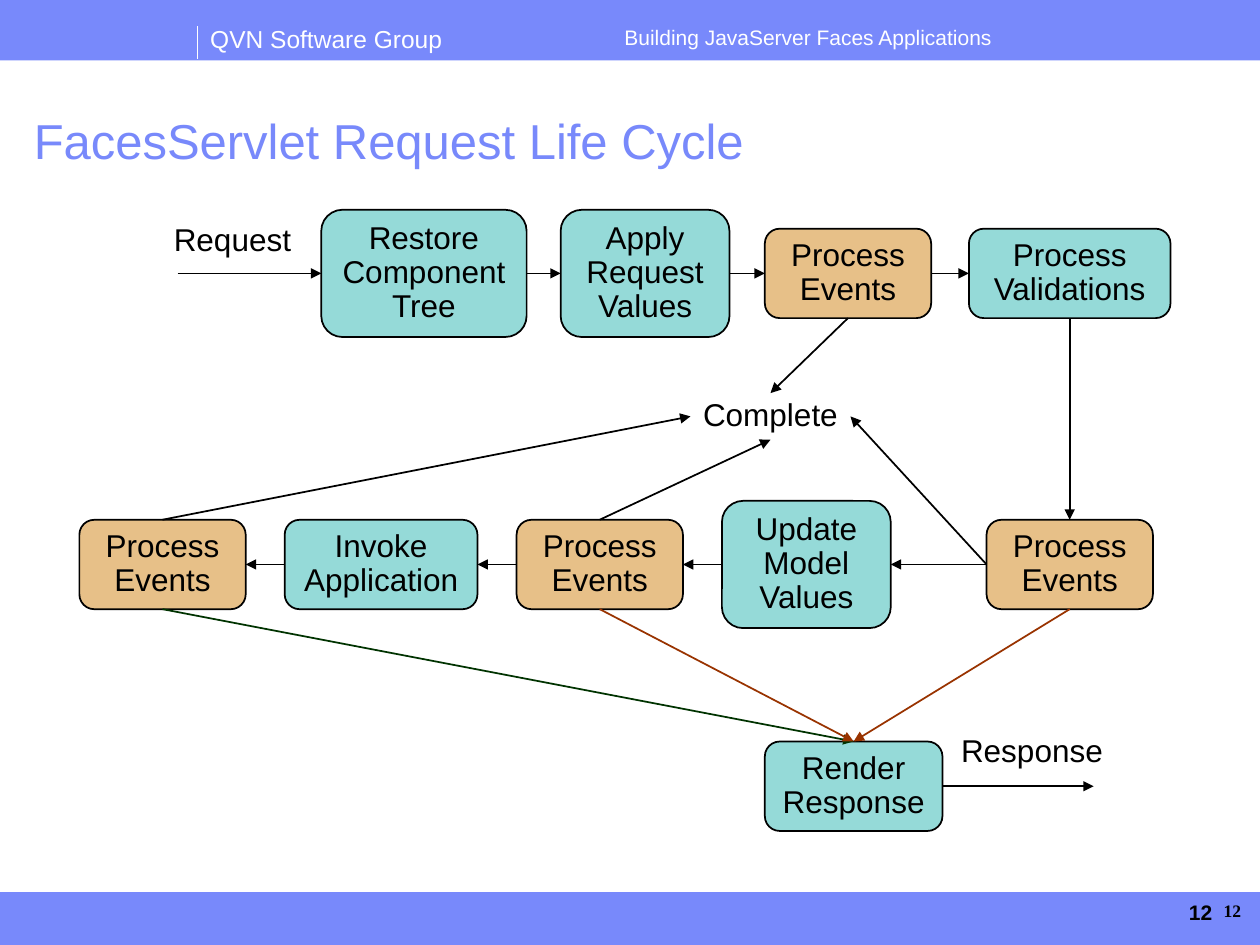
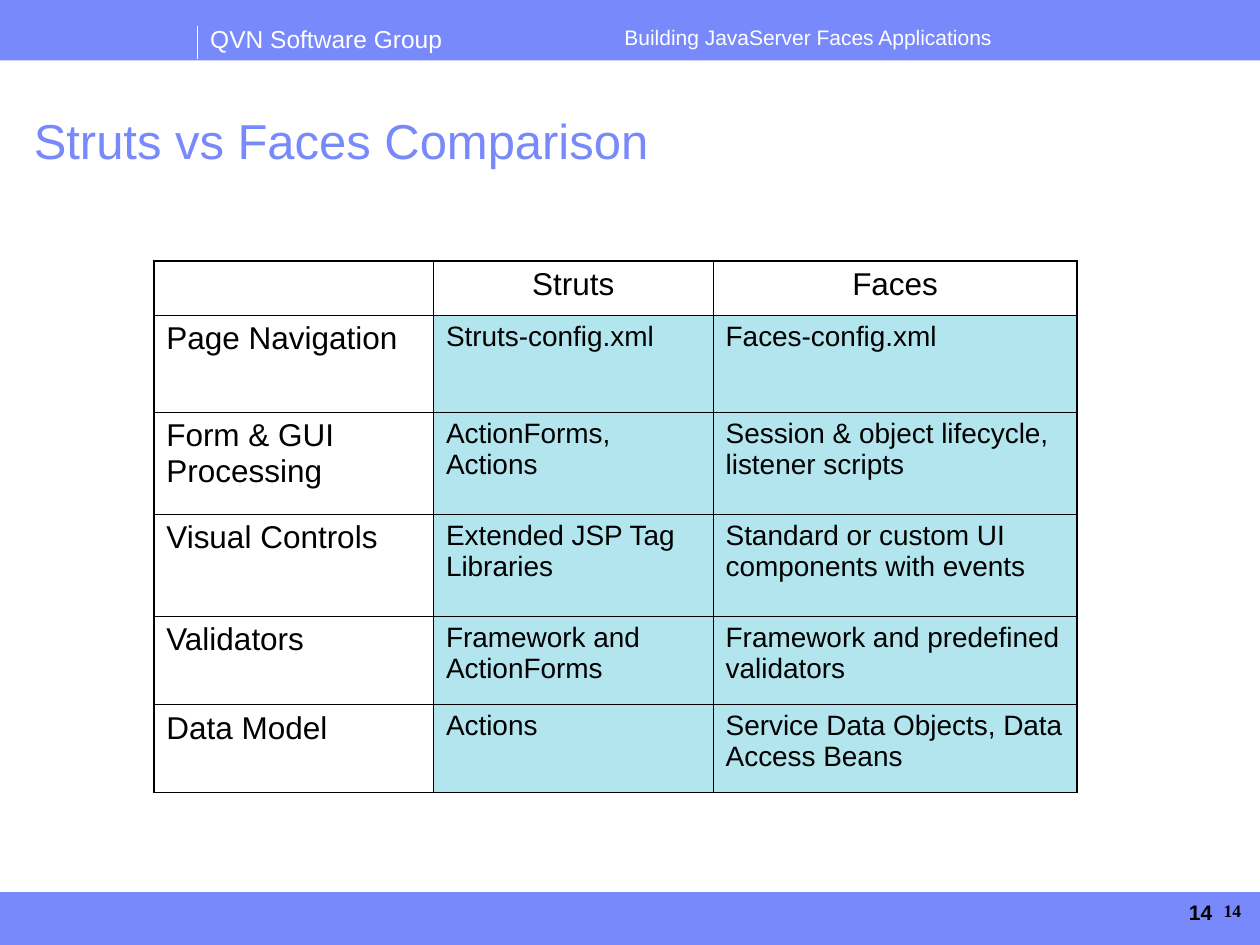
from lxml.etree import SubElement
from pptx import Presentation
from pptx.dml.color import RGBColor
from pptx.enum.shapes import MSO_CONNECTOR, MSO_SHAPE
from pptx.enum.text import MSO_ANCHOR, PP_ALIGN
from pptx.oxml.ns import qn
from pptx.util import Inches, Pt

BLUE, WHITE, BLACK = "7889FB", "FFFFFF", "000000"
TEAL, ORANGE, CYAN = "2DB6B3", "D18213", "66CCDC"
GREEN, BROWN = "003300", "993300"
LEFT, CENTER, RIGHT = PP_ALIGN.LEFT, PP_ALIGN.CENTER, PP_ALIGN.RIGHT
TOP_SIDE, LEFT_SIDE, BOTTOM_SIDE, RIGHT_SIDE = range(4)

GROUP = "QVN Software Group"
COURSE = "Building JavaServer Faces Applications"

ROW_1, ROW_2, ROW_3 = 2.17, 4.48, 6.24
TALL, SHORT = 1.01, 0.71
STEPS = {
    "restore": ("Restore Component Tree", TEAL, 2.55, ROW_1, 1.63, TALL),
    "apply": ("Apply Request Values", TEAL, 4.45, ROW_1, 1.34, TALL),
    "events 1": ("Process Events", ORANGE, 6.07, ROW_1, 1.32, SHORT),
    "validate": ("Process Validations", TEAL, 7.69, ROW_1, 1.6, SHORT),
    "events 2": ("Process Events", ORANGE, 7.83, ROW_2, 1.32, SHORT),
    "update": ("Update Model Values", TEAL, 5.73, ROW_2, 1.34, TALL),
    "events 3": ("Process Events", ORANGE, 4.1, ROW_2, 1.32, SHORT),
    "invoke": ("Invoke Application", TEAL, 2.26, ROW_2, 1.53, SHORT),
    "events 4": ("Process Events", ORANGE, 0.63, ROW_2, 1.32, SHORT),
    "render": ("Render Response", TEAL, 6.07, ROW_3, 1.41, SHORT),
}
LABELS = {
    "request": ("Request", 1.28, 1.73, 1.13),
    "response": ("Response", 7.53, 5.79, 1.32),
    "complete": ("Complete", 5.48, 3.12, 1.27),
}
FLOWS = [
    ("restore", "apply", "events 1", "validate"),
    ("events 2", "update", "events 3", "invoke", "events 4"),
]
ARROWS = [
    ((1.41, ROW_1), ("restore", LEFT_SIDE), BLACK),
    (("validate", BOTTOM_SIDE), ("events 2", TOP_SIDE), BLACK),
    (("events 1", BOTTOM_SIDE), ("complete", TOP_SIDE), BLACK),
    (("events 2", LEFT_SIDE), ("complete", RIGHT_SIDE), BLACK),
    (("events 3", TOP_SIDE), ("complete", BOTTOM_SIDE), BLACK),
    (("events 4", TOP_SIDE), ("complete", LEFT_SIDE), BLACK),
    (("events 4", BOTTOM_SIDE), ("render", TOP_SIDE), GREEN),
    (("events 2", BOTTOM_SIDE), ("render", TOP_SIDE), BROWN),
    (("events 3", BOTTOM_SIDE), ("render", TOP_SIDE), BROWN),
    (("render", RIGHT_SIDE), (8.68, ROW_3), BLACK),
]

COMPARISON = [
    ("", "Struts", "Faces"),
    ("Page Navigation", "Struts-config.xml", "Faces-config.xml"),
    ("Form & GUI Processing", "ActionForms, Actions",
     "Session & object lifecycle, listener scripts"),
    ("Visual Controls", "Extended JSP Tag Libraries",
     "Standard or custom UI components with events"),
    ("Validators", "Framework and ActionForms",
     "Framework and predefined validators"),
    ("Data Model", "Actions", "Service Data Objects, Data Access Beans"),
]
COL_WIDTHS = (2.22, 2.22, 2.89)
ROW_HEIGHTS = (0.43, 0.77, 0.81, 0.81, 0.7, 0.7)
THIN, THICK = 0.45, 1.08


def rgb(color):
    return RGBColor.from_string(color)


def paint(fill, color, owner=None):
    fill.solid()
    fill.fore_color.rgb = rgb(color)
    if owner is not None:
        clr = owner.find(qn("a:solidFill")).find(qn("a:srgbClr"))
        SubElement(clr, qn("a:alpha"), val="50000")


def style(p, size, color=BLACK, align=LEFT, bold=False, font="Arial", spacing=None):
    p.alignment = align
    p.line_spacing = spacing
    p.font.size, p.font.name, p.font.bold = Pt(size), font, bold
    p.font.color.rgb = rgb(color)


def add_text(s, text, x, y, w, h, size, margins=(0.1, 0.05), **look):
    sp = s.shapes.add_textbox(Inches(x), Inches(y), Inches(w), Inches(h))
    tf = sp.text_frame
    tf.word_wrap = True
    tf.margin_left = tf.margin_right = Inches(margins[0])
    tf.margin_top = tf.margin_bottom = Inches(margins[1])
    p = tf.paragraphs[0]
    p.text = text
    style(p, size, **look)
    return sp


def add_box(s, kind, x, y, w, h):
    sp = s.shapes.add_shape(kind, Inches(x), Inches(y), Inches(w), Inches(h))
    sp.shadow.inherit = False
    return sp


def add_line(s, start, end, color, width):
    line = s.shapes.add_connector(MSO_CONNECTOR.STRAIGHT,
                                  *(Inches(v) for v in (*start, *end)))
    line.line.color.rgb = rgb(color)
    line.line.width = Pt(width)
    SubElement(line._element.spPr, qn("a:effectLst"))
    return line


def add_slide(prs, title, number):
    s = prs.slides.add_slide(prs.slide_layouts[6])
    for y, h in ((7.08, 0.42), (0, 0.48)):
        band = add_box(s, MSO_SHAPE.RECTANGLE, 0, y, 10, h)
        paint(band.fill, BLUE)
        band.line.fill.background()
    add_text(s, GROUP, 1.57, 0.14, 2.2, 0.34, 14, color=WHITE)
    add_line(s, (1.57, 0.21), (1.57, 0.47), WHITE, 0.75)
    add_text(s, COURSE, 3.83, 0.17, 5.17, 0.28, 12, color=WHITE, align=CENTER, spacing=0.9)
    add_text(s, number, 9.31, 7.09, 0.41, 0.3, 12, align=RIGHT, bold=True)
    add_text(s, number, 9.11, 7.14, 0.74, 0.17, 10, margins=(0, 0), align=RIGHT,
             bold=True, font="Times New Roman")
    add_text(s, title, 0.17, 0.88, 9.26, 0.52, 28, color=BLUE, spacing=0.9)
    return s


def add_step(s, text, color, x, middle, w, h):
    sp = add_box(s, MSO_SHAPE.FLOWCHART_ALTERNATE_PROCESS, x, middle - h / 2, w, h)
    paint(sp.fill, color, sp._element.spPr)
    sp.line.color.rgb = rgb(BLACK)
    sp.line.width = Pt(1)
    tf = sp.text_frame
    tf.word_wrap = True
    tf.vertical_anchor = MSO_ANCHOR.MIDDLE
    p = tf.paragraphs[0]
    p.text = text
    style(p, 18, align=CENTER, spacing=0.9)
    return sp


def add_arrow(s, nodes, start, end, color):
    points = [(0, 0) if end_point[0] in nodes else end_point for end_point in (start, end)]
    line = add_line(s, *points, color, 1)
    if start[0] in nodes:
        line.begin_connect(nodes[start[0]], start[1])
    if end[0] in nodes:
        line.end_connect(nodes[end[0]], end[1])
    SubElement(line.line._get_or_add_ln(), qn("a:tailEnd"), type="triangle")


def add_life_cycle(s):
    nodes = {name: add_step(s, *step) for name, step in STEPS.items()}
    for name, (text, x, y, w) in LABELS.items():
        nodes[name] = add_text(s, text, x, y, w, 0.37, 18, margins=(0, 0.05),
                               align=CENTER, spacing=0.9)
    for flow, sides in zip(FLOWS, ((RIGHT_SIDE, LEFT_SIDE), (LEFT_SIDE, RIGHT_SIDE))):
        for a, b in zip(flow, flow[1:]):
            add_arrow(s, nodes, (a, sides[0]), (b, sides[1]), BLACK)
    for arrow in ARROWS:
        add_arrow(s, nodes, *arrow)


def add_borders(tcPr, outer):
    for side in "LRTB":
        width = THICK if side in outer else THIN
        ln = SubElement(tcPr, qn(f"a:ln{side}"), w=str(Pt(width)))
        SubElement(SubElement(ln, qn("a:solidFill")), qn("a:srgbClr"), val=BLACK)


def add_comparison(s):
    last_row, last_col = len(ROW_HEIGHTS) - 1, len(COL_WIDTHS) - 1
    table = s.shapes.add_table(last_row + 1, last_col + 1, Inches(1.22), Inches(2.07),
                               Inches(sum(COL_WIDTHS)), Inches(sum(ROW_HEIGHTS))).table
    table.first_row = table.horz_banding = False
    for col, w in zip(table.columns, COL_WIDTHS):
        col.width = Inches(w)
    for row, h in zip(table.rows, ROW_HEIGHTS):
        row.height = Inches(h)
    for i, texts in enumerate(COMPARISON):
        for j, text in enumerate(texts):
            cell = table.cell(i, j)
            tcPr = cell._tc.get_or_add_tcPr()
            edges = {"L": j == 0, "R": j == last_col, "T": i == 0, "B": i == last_row}
            add_borders(tcPr, [side for side, outer in edges.items() if outer])
            body = i > 0 and j > 0
            if body:
                paint(cell.fill, CYAN, tcPr)
            else:
                cell.fill.background()
            p = cell.text_frame.paragraphs[0]
            p.text = text
            style(p, 16 if body else 18, align=CENTER if i == 0 else LEFT)
            p.space_before, p.space_after = (Pt(5), Pt(3)) if body else (Pt(5.6), Pt(3.4))


def main():
    prs = Presentation()
    prs.slide_width, prs.slide_height = Inches(10), Inches(7.5)
    add_life_cycle(add_slide(prs, "FacesServlet Request Life Cycle", "12"))
    add_comparison(add_slide(prs, "Struts vs Faces Comparison", "14"))
    prs.save("out.pptx")


if __name__ == "__main__":
    main()
